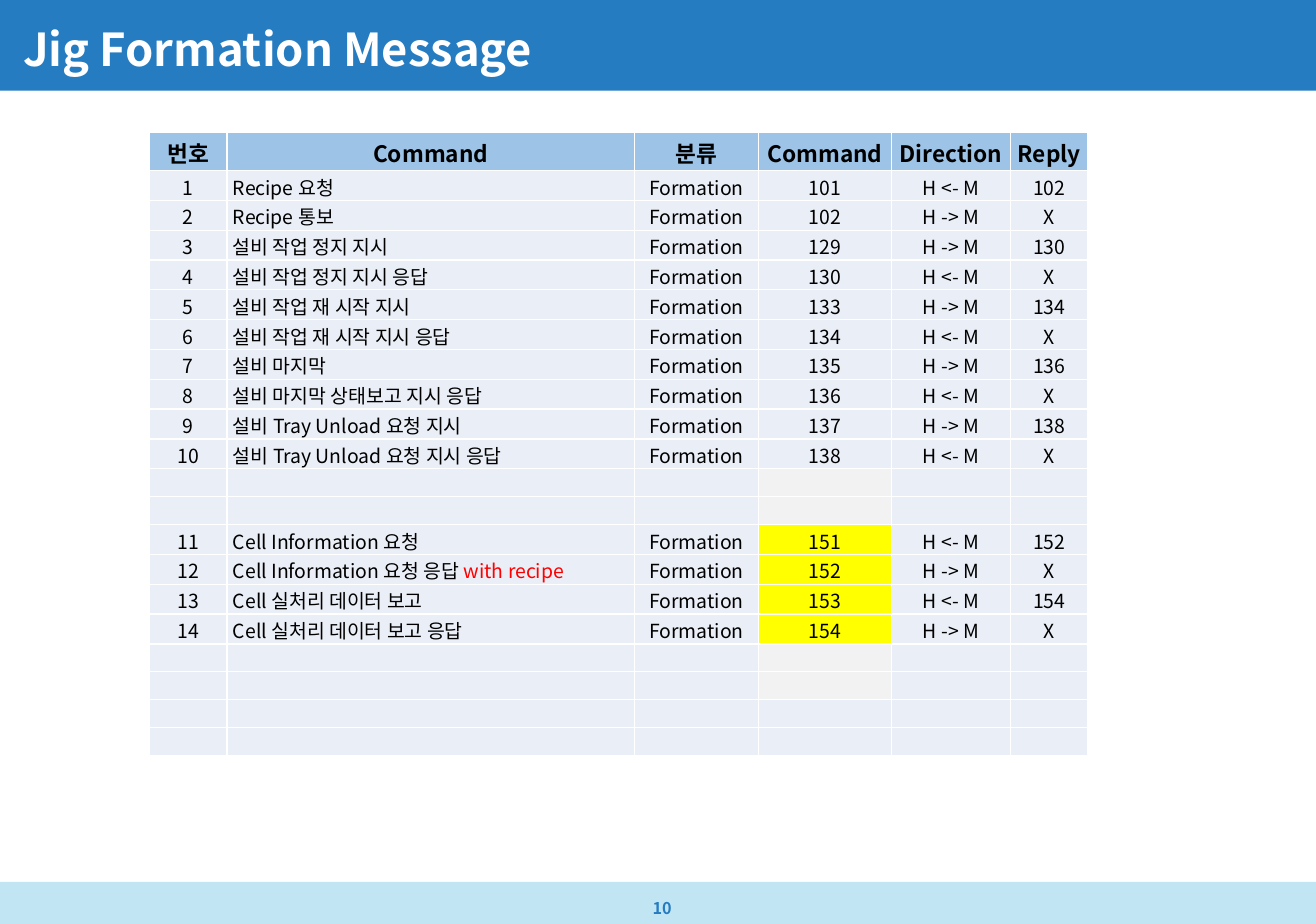
from dataclasses import dataclass

from lxml import etree
from pptx import Presentation
from pptx import util as u
from pptx.dml.color import RGBColor
from pptx.enum import shapes, text
from pptx.oxml.ns import qn


@dataclass(frozen=True)
class Theme:
    font: str = "Noto Sans CJK KR"
    title_pt: int = 28
    head_pt: int = 14
    body_pt: int = 12
    small_pt: int = 10
    blue: str = "257CC0"
    pale: str = "C2E5F4"
    head: str = "9DC3E6"
    cell: str = "EAEFF7"
    grey: str = "F2F2F2"
    yellow: str = "FFFF00"
    red: str = "FF0000"
    black: str = "000000"
    white: str = "FFFFFF"


T = Theme()


@dataclass(frozen=True)
class Column:
    head: str
    width: float
    align: text.PP_ALIGN = text.PP_ALIGN.CENTER


@dataclass(frozen=True)
class Message:
    name: str = ""
    command: int = 0
    direction: str = ""
    note: str = ""
    fill: str = T.cell

    def values(self, number: int) -> list[str]:
        if not self.command:
            return [""] * len(COLUMNS)
        reply = str(self.command + 1) if self.command % 2 else "X"
        return [str(number), self.name, "Formation", str(self.command), self.direction, reply]


COLUMNS = [
    Column("번호", 1.69),
    Column("Command", 8.89, text.PP_ALIGN.JUSTIFY),
    Column("분류", 2.7),
    Column("Command", 2.9),
    Column("Direction", 2.6),
    Column("Reply", 1.69),
]
COMMAND_COL = 3
TO_HOST, TO_MACHINE = "H <- M", "H -> M"
GREY_GAP = [Message(fill=T.grey)] * 2
MESSAGES = [
    Message("Recipe 요청", 101, TO_HOST),
    Message("Recipe 통보", 102, TO_MACHINE),
    Message("설비 작업 정지 지시", 129, TO_MACHINE),
    Message("설비 작업 정지 지시 응답", 130, TO_HOST),
    Message("설비 작업 재 시작 지시", 133, TO_MACHINE),
    Message("설비 작업 재 시작 지시 응답", 134, TO_HOST),
    Message("설비 마지막", 135, TO_MACHINE),
    Message("설비 마지막 상태보고 지시 응답", 136, TO_HOST),
    Message("설비 Tray Unload 요청 지시", 137, TO_MACHINE),
    Message("설비 Tray Unload 요청 지시 응답", 138, TO_HOST),
    *GREY_GAP,
    Message("Cell Information 요청", 151, TO_HOST, fill=T.yellow),
    Message("Cell Information 요청 응답 ", 152, TO_MACHINE, "with recipe", T.yellow),
    Message("Cell 실처리 데이터 보고", 153, TO_HOST, fill=T.yellow),
    Message("Cell 실처리 데이터 보고 응답", 154, TO_MACHINE, fill=T.yellow),
    *GREY_GAP,
    *[Message()] * 2,
]
HEAD_H, ROW_H, EMPTY_H = 0.83, 0.65, 0.61


def rgb(value: str) -> RGBColor:
    return RGBColor.from_string(value)


def style(p, size: int, color: str, bold: bool, align, spacing: float) -> None:
    p.alignment, p.line_spacing = align, spacing
    p.font.name, p.font.size, p.font.bold = T.font, u.Pt(size), bold
    p.font.color.rgb = rgb(color)
    props = p._p.pPr.find(qn("a:defRPr"))
    etree.SubElement(props, qn("a:ea")).set("typeface", T.font)


def add_band(s, top: float, width: int, height: float, color: str):
    sp = s.shapes.add_shape(shapes.MSO_SHAPE.RECTANGLE, 0, u.Cm(top), width, u.Cm(height))
    sp.shadow.inherit = False
    sp.fill.solid()
    sp.fill.fore_color.rgb = rgb(color)
    sp.line.fill.background()
    return sp


def set_title(s, band) -> None:
    title = s.shapes.title
    band.element.addnext(title.element)
    title.left, title.top, title.width, title.height = map(u.Cm, (0.25, 0.58, 24.74, 1.09))
    tf = title.text_frame
    tf.text = "Jig Formation Message"
    tf.auto_size = text.MSO_AUTO_SIZE.NONE
    tf.vertical_anchor = text.MSO_ANCHOR.BOTTOM
    tf.margin_bottom = 0
    style(tf.paragraphs[0], T.title_pt, T.white, True, text.PP_ALIGN.LEFT, 0.9)


def add_page_number(s) -> None:
    tf = s.shapes.add_textbox(*map(u.Cm, (12.98, 19.43, 2.92, 0.71))).text_frame
    tf.word_wrap = True
    tf.margin_left = tf.margin_right = 0
    tf.vertical_anchor = text.MSO_ANCHOR.MIDDLE
    tf.text = "10"
    style(tf.paragraphs[0], T.small_pt, T.blue, True, text.PP_ALIGN.CENTER, 1.1)


def add_borders(cell) -> None:
    props = cell._tc.get_or_add_tcPr()
    for i, side in enumerate(("lnL", "lnR", "lnT", "lnB")):
        ln = etree.Element(qn(f"a:{side}"), w=str(u.Pt(1)))
        fill = etree.SubElement(ln, qn("a:solidFill"))
        etree.SubElement(fill, qn("a:srgbClr")).set("val", T.white)
        props.insert(i, ln)


def fill_cell(cell, value: str, size: int, fill: str, align, bold: bool = False, note: str = "") -> None:
    cell.fill.solid()
    cell.fill.fore_color.rgb = rgb(fill)
    add_borders(cell)
    cell.margin_left = cell.margin_right = u.Cm(0.13)
    cell.margin_top = cell.margin_bottom = 0
    cell.vertical_anchor = text.MSO_ANCHOR.MIDDLE
    p = cell.text_frame.paragraphs[0]
    if value:
        p.add_run().text = value
    if note:
        r = p.add_run()
        r.text = note
        r.font.color.rgb = rgb(T.red)
    style(p, size, T.black, bold, align, 1.07)


def add_messages(s) -> None:
    heights = [HEAD_H] + [ROW_H if m.command else EMPTY_H for m in MESSAGES]
    width = sum(c.width for c in COLUMNS)
    frame = s.shapes.add_table(len(heights), len(COLUMNS),
                               *map(u.Cm, (3.26, 2.89, width, sum(heights))))
    table = frame.table
    table.first_row = table.horz_banding = False
    for row, height in zip(table.rows, heights):
        row.height = u.Cm(height)
    for j, column in enumerate(COLUMNS):
        table.columns[j].width = u.Cm(column.width)
        fill_cell(table.cell(0, j), column.head, T.head_pt, T.head, text.PP_ALIGN.CENTER, True)
    number = 0
    for i, m in enumerate(MESSAGES, 1):
        number += bool(m.command)
        size = T.body_pt if m.command else T.small_pt
        for j, (column, value) in enumerate(zip(COLUMNS, m.values(number))):
            fill_cell(table.cell(i, j), value, size, m.fill if j == COMMAND_COL else T.cell,
                      column.align, note=m.note if j == 1 else "")


def main() -> None:
    """Build the message list slide and save it."""
    prs = Presentation()
    prs.slide_width, prs.slide_height = u.Cm(28.7), u.Cm(20.15)
    s = prs.slides.add_slide(prs.slide_layouts[5])
    band = add_band(s, 0, prs.slide_width, 1.98, T.blue)
    add_band(s, 19.23, prs.slide_width, 0.92, T.pale)
    set_title(s, band)
    add_page_number(s)
    add_messages(s)
    prs.save("out.pptx")


if __name__ == "__main__":
    main()
